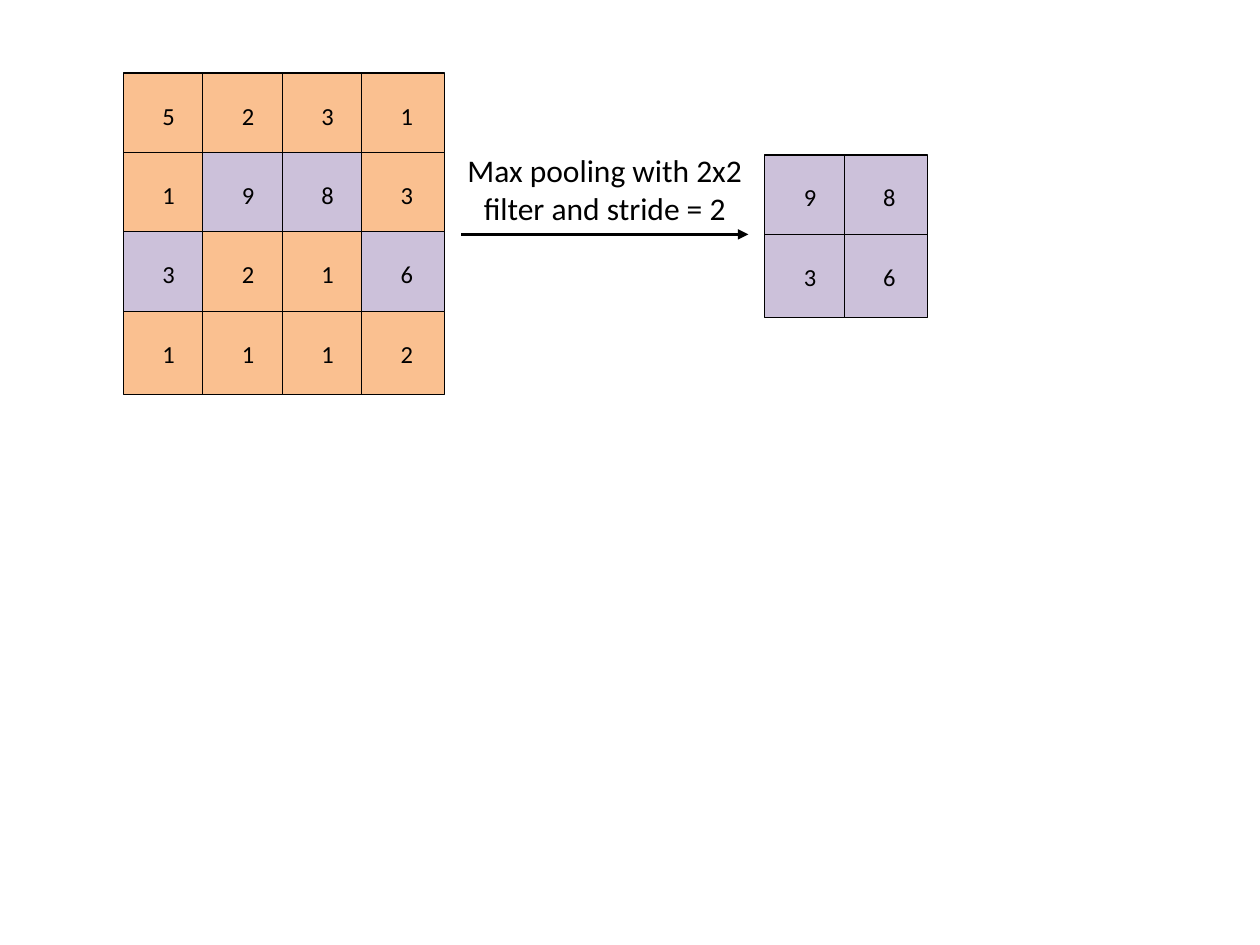
"""Builds a slide that shows max pooling of a 4x4 grid down to 2x2."""
from pptx import Presentation, util as u
from pptx.dml.color import RGBColor
from pptx.enum import shapes, text
from pptx.oxml.ns import qn
from lxml import etree

INPUT = [
    [5, 2, 3, 1],
    [1, 9, 8, 3],
    [3, 2, 1, 6],
    [1, 1, 1, 2],
]
LABEL = "Max pooling with 2x2 filter and stride = 2"
STRIDE = 2
ORANGE, PURPLE, BLACK = "FAC090", "CCC1DA", "000000"
PITCH, SIDE = 0.63, 0.66
IN_POS, OUT_POS = (0.98, 0.58), (6.07, 1.23)
ARROW_Y = OUT_POS[1] + PITCH


def color(code):
    return RGBColor.from_string(code)


def write(frame, words, size):
    frame.word_wrap = True
    para = frame.paragraphs[0]
    para.alignment = text.PP_ALIGN.CENTER
    run = para.add_run()
    run.text = words
    run.font.name, run.font.size = "Calibri", u.Pt(size)
    run.font.color.rgb = color(BLACK)


def add_cell(slide, left, top, value, fill):
    cell = slide.shapes.add_shape(
        shapes.MSO_SHAPE.RECTANGLE, *map(u.Inches, (left, top, SIDE, SIDE)))
    cell.shadow.inherit = False
    cell.fill.solid()
    cell.fill.fore_color.rgb = color(fill)
    cell.line.color.rgb = color(BLACK)
    cell.line.width = u.Pt(0)
    frame = cell.text_frame
    frame.margin_left = frame.margin_right = u.Inches(0.31)
    frame.margin_top, frame.margin_bottom = u.Inches(0.06), u.Inches(0.05)
    frame.vertical_anchor = text.MSO_ANCHOR.MIDDLE
    write(frame, str(value), 14)


def add_grid(slide, pos, rows, shade):
    for r, row in enumerate(rows):
        for c, value in enumerate(row):
            add_cell(slide, pos[0] + c * PITCH, pos[1] + r * PITCH,
                     value, shade(r, c))


def add_arrow(slide, start, end, y):
    arrow = slide.shapes.add_connector(
        shapes.MSO_CONNECTOR.STRAIGHT, *map(u.Inches, (start, y, end, y)))
    arrow.line.color.rgb = color(BLACK)
    arrow.line.width = u.Pt(2)
    etree.SubElement(arrow.line._get_or_add_ln(), qn("a:tailEnd"), type="triangle")
    etree.SubElement(arrow._element.spPr, qn("a:effectLst"))


def pool(rows):
    steps = range(0, len(rows), STRIDE)
    return [[max(v for row in rows[r:r + STRIDE] for v in row[c:c + STRIDE])
             for c in steps] for r in steps]


def main():
    deck = Presentation()
    deck.slide_width, deck.slide_height = u.Inches(10), u.Inches(7.5)
    slide = deck.slides.add_slide(deck.slide_layouts[6])
    peaks = pool(INPUT)

    def shade(r, c):
        peak = peaks[r // STRIDE][c // STRIDE]
        return PURPLE if INPUT[r][c] == peak else ORANGE

    add_grid(slide, IN_POS, INPUT, shade)
    add_grid(slide, OUT_POS, peaks, lambda r, c: PURPLE)
    add_arrow(slide, 3.66, 5.94, ARROW_Y)
    label = slide.shapes.add_textbox(
        *map(u.Inches, (3.58, ARROW_Y - 0.71, 2.44, 0.71)))
    write(label.text_frame, LABEL, 18)
    deck.save("out.pptx")


if __name__ == "__main__":
    main()
